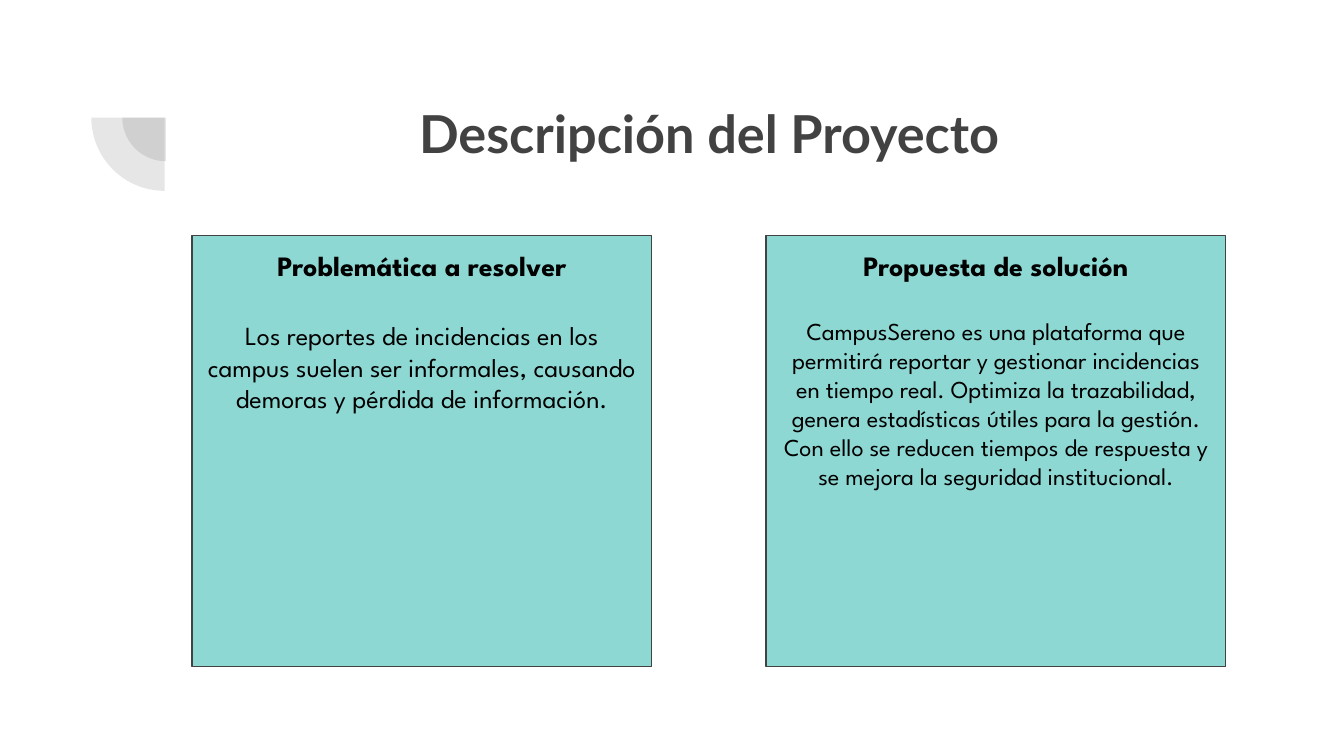
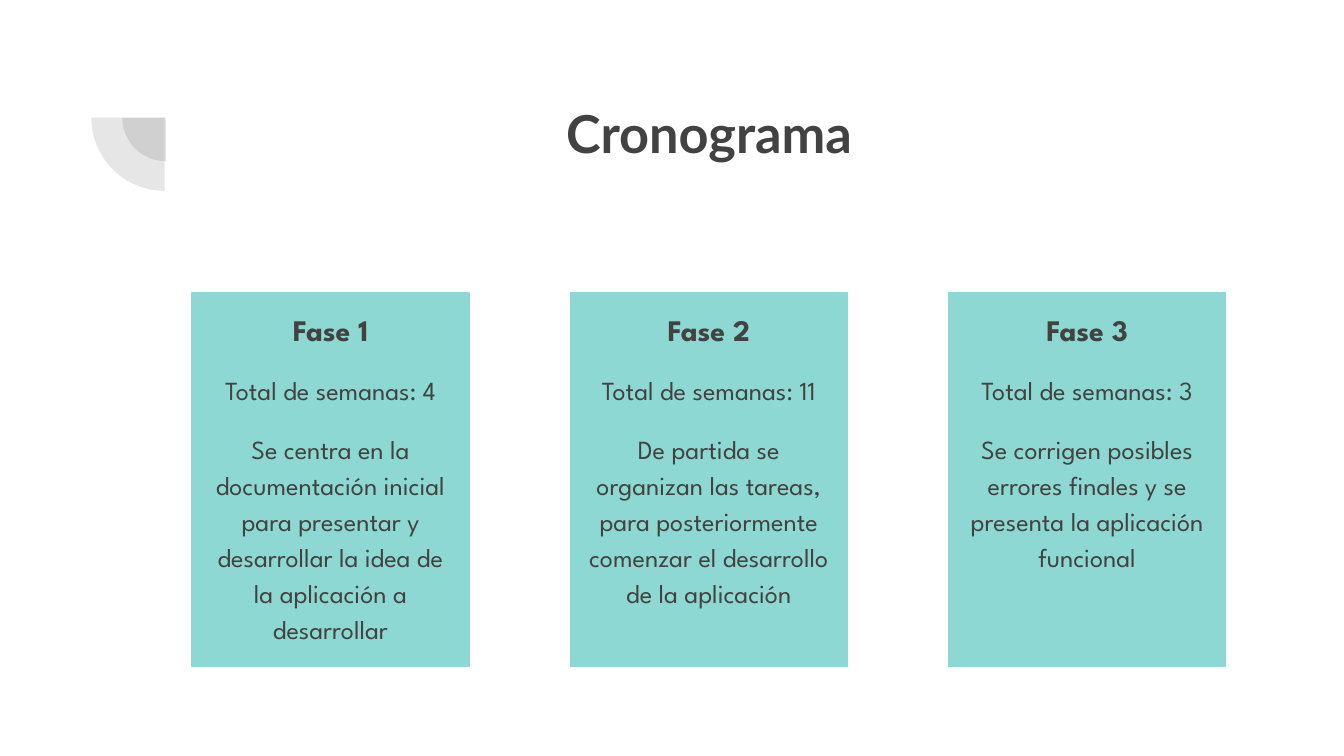
from lxml import etree
from pptx import Presentation
from pptx.dml.color import RGBColor
from pptx.enum.shapes import MSO_SHAPE
from pptx.enum.text import MSO_ANCHOR, PP_ALIGN
from pptx.oxml.ns import qn
from pptx.util import Inches, Pt

RECT, PIE = MSO_SHAPE.RECTANGLE, MSO_SHAPE.PIE
CENTER, TOP = PP_ALIGN.CENTER, MSO_ANCHOR.TOP

# Shared look
DARK = RGBColor(0x42, 0x42, 0x42)
TEAL = RGBColor(0x8D, 0xD8, 0xD3)
BLACK = RGBColor(0, 0, 0)
WHITE = RGBColor(0xFF, 0xFF, 0xFF)
TITLE_FONT, BODY_FONT = "Lato", "League Spartan"
LEFT, RIGHT, BOTTOM = 1.43, 9.12, 4.96
INSET = Inches(0.1)

# Slide content: heading, body, body size, gap above body
PROJECT = [
    ("Problemática a resolver",
     "Los reportes de incidencias en los campus suelen ser informales, "
     "causando demoras y pérdida de información.", 14, 20),
    ("Propuesta de solución",
     "CampusSereno es una plataforma que permitirá reportar y gestionar "
     "incidencias en tiempo real. Optimiza la trazabilidad, genera "
     "estadísticas útiles para la gestión. Con ello se reducen tiempos de "
     "respuesta y se mejora la seguridad institucional.", 13, 18),
]
# Weeks, description
PHASES = [
    (4, "Se centra en la documentación inicial para presentar y desarrollar "
        "la idea de la aplicación a desarrollar"),
    (11, "De partida se organizan las tareas, para posteriormente comenzar "
         "el desarrollo de la aplicación"),
    (3, "Se corrigen posibles errores finales y se presenta la aplicación "
        "funcional"),
]


def set_attrs(obj, values):
    for name, value in values.items():
        setattr(obj, name, value)


def write(sp, paragraphs, font, color):
    """Fill a shape with (text, font format, paragraph format) entries."""
    tf = sp.text_frame
    set_attrs(tf, dict(word_wrap=True, vertical_anchor=TOP,
                       margin_left=INSET, margin_right=INSET,
                       margin_top=INSET, margin_bottom=INSET))
    for i, (text, font_format, para_format) in enumerate(paragraphs):
        p = tf.add_paragraph() if i else tf.paragraphs[0]
        set_attrs(p, dict(alignment=CENTER, **para_format))
        r = p.add_run()
        r.text = text
        set_attrs(r.font, dict(name=font, **font_format))
        r.font.color.rgb = color


def add_corner(slide, left, top, size):
    """Translucent quarter disc."""
    sp = slide.shapes.add_shape(PIE, Inches(left), Inches(top),
                                Inches(size), Inches(size))
    sp.adjustments[0], sp.adjustments[1] = 108, 162
    sp.rotation = 270
    sp.shadow.inherit = False
    sp.line.fill.background()
    sp.fill.solid()
    sp.fill.fore_color.rgb = DARK
    clr = sp.fill._xPr.find(qn("a:solidFill")).find(qn("a:srgbClr"))
    etree.SubElement(clr, qn("a:alpha")).set("val", "13000")


def add_card(slide, left, top, width, line, paragraphs, color):
    sp = slide.shapes.add_shape(RECT, Inches(left), Inches(top),
                                Inches(width), Inches(BOTTOM - top))
    sp.shadow.inherit = False
    sp.fill.solid()
    sp.fill.fore_color.rgb = TEAL
    sp.line.color.rgb = line
    sp.line.width = Pt(0.75)
    write(sp, paragraphs, BODY_FONT, color)


def add_cards(slide, top, width, line, cards, color):
    """Spread cards evenly between the left and right margins."""
    step = (RIGHT - LEFT - width) / (len(cards) - 1)
    for i, paragraphs in enumerate(cards):
        add_card(slide, LEFT + i * step, top, width, line, paragraphs, color)


def add_slide(prs, title):
    slide = prs.slides.add_slide(prs.slide_layouts[6])
    slide.background.fill.solid()
    slide.background.fill.fore_color.rgb = WHITE
    add_corner(slide, 0.91, 0.55, 0.65)
    add_corner(slide, 0.68, 0.33, 1.09)
    sp = slide.shapes.add_textbox(Inches(LEFT), Inches(0.65),
                                  Inches(RIGHT - LEFT), Inches(1.09))
    write(sp, [(title, dict(size=Pt(28), bold=True), {})], TITLE_FONT, DARK)
    return slide


def project_card(heading, body, size, gap):
    return [(heading, dict(size=Pt(15), bold=True), {}),
            (body, dict(size=Pt(size), bold=False),
             dict(space_before=Pt(gap)))]


def phase_card(number, weeks, body):
    plain = dict(size=Pt(14), bold=False)
    spaced = dict(line_spacing=1.15, space_before=Pt(12))
    return [(f"Fase {number}", dict(size=Pt(16), bold=True),
             dict(line_spacing=1.15)),
            (f"Total de semanas: {weeks}", plain, spaced),
            (body, plain, dict(space_after=Pt(12), **spaced))]


def main():
    prs = Presentation()
    # Widescreen, 16:9
    prs.slide_width = Inches(10)
    prs.slide_height = Inches(10 * 9 / 16)

    # Project description
    slide = add_slide(prs, "Descripción del Proyecto")
    cards = [project_card(*item) for item in PROJECT]
    add_cards(slide, 1.75, 3.42, DARK, cards, BLACK)

    # Schedule
    slide = add_slide(prs, "Cronograma")
    cards = [phase_card(n, *item) for n, item in enumerate(PHASES, 1)]
    add_cards(slide, 2.18, 2.06, TEAL, cards, DARK)

    prs.save("out.pptx")


if __name__ == "__main__":
    main()
